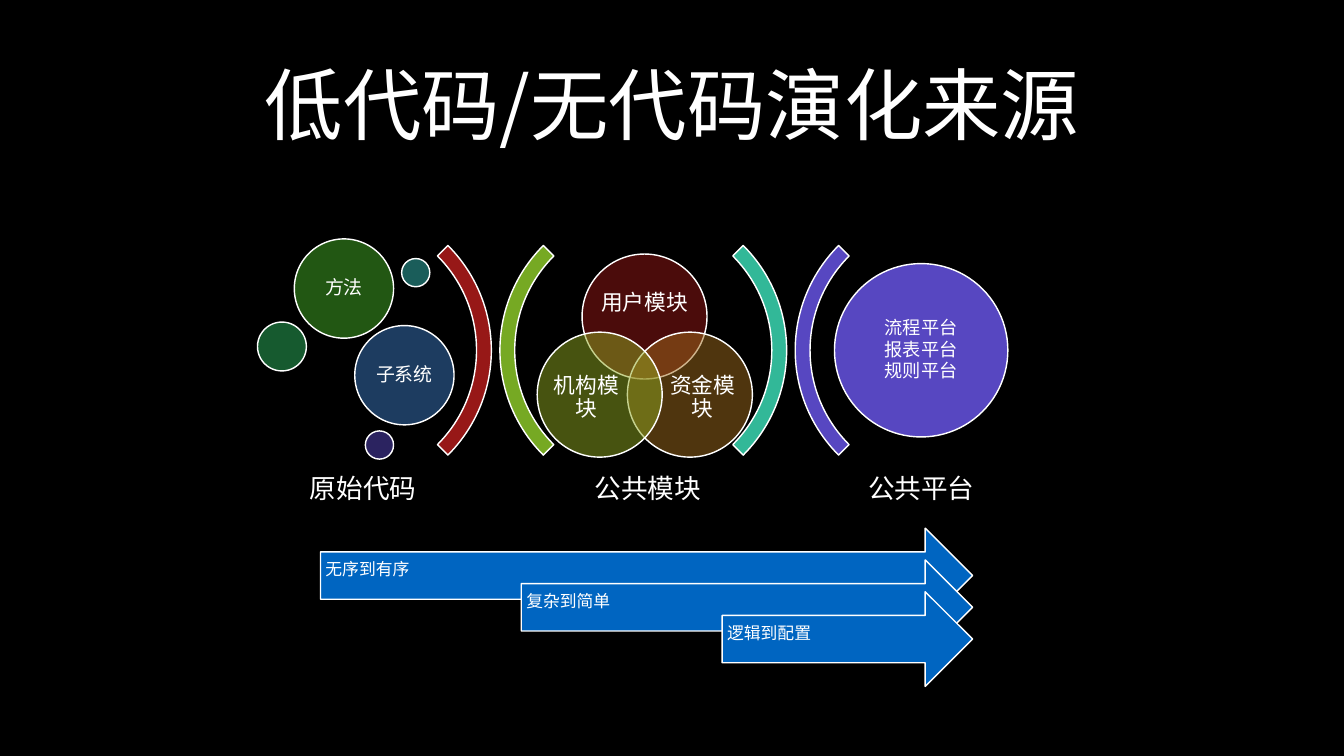
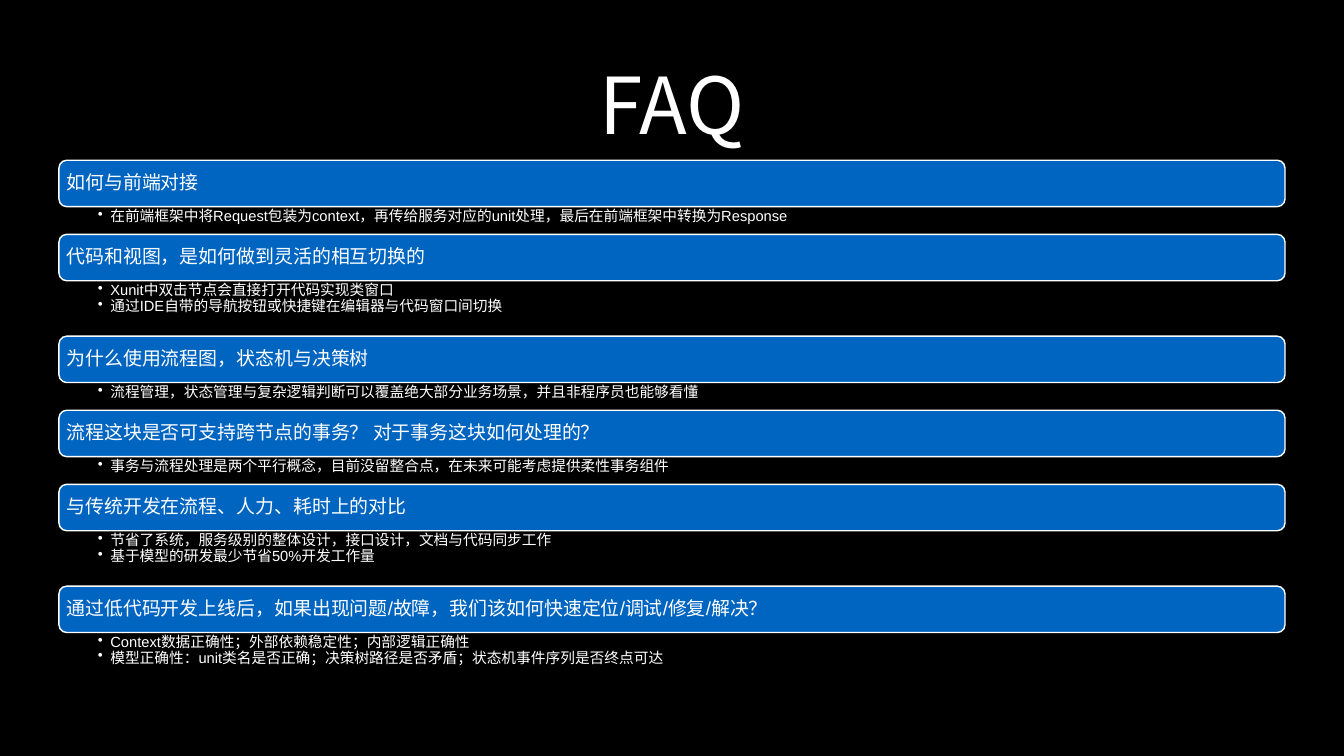
from lxml.etree import SubElement as Sub
from pptx import Presentation
from pptx.dml.color import RGBColor
from pptx.enum.shapes import MSO_SHAPE as Form
from pptx.enum.text import MSO_ANCHOR as Anchor, MSO_AUTO_SIZE as Fit, PP_ALIGN as Align
from pptx.oxml.ns import qn
from pptx.util import Inches, Pt

# Shared style
BLACK = RGBColor(0x00, 0x00, 0x00)
WHITE = RGBColor(0xFF, 0xFF, 0xFF)
BLUE = RGBColor(0x00, 0x65, 0xC1)
RED = RGBColor(0x97, 0x18, 0x17)
LIME = RGBColor(0x76, 0xA9, 0x23)
TEAL = RGBColor(0x32, 0xB8, 0x98)
VIOLET = RGBColor(0x57, 0x47, 0xC1)
AMBER = RGBColor(0x9F, 0x6A, 0x1C)
OLIVE = RGBColor(0x8E, 0xA6, 0x21)
GREEN = RGBColor(0x45, 0xAE, 0x27)
JADE = RGBColor(0x2D, 0xB4, 0x5E)
AQUA = RGBColor(0x34, 0xBA, 0xB4)
STEEL = RGBColor(0x3B, 0x78, 0xC0)
TITLE_FONT = "Noto Sans CJK SC"
BODY_FONT = "Arial"

FAQS = [
    ("如何与前端对接",
     ["在前端框架中将Request包装为context，再传给服务对应的unit处理，最后在前端框架中转换为Response"]),
    ("代码和视图，是如何做到灵活的相互切换的",
     ["Xunit中双击节点会直接打开代码实现类窗口",
      "通过IDE自带的导航按钮或快捷键在编辑器与代码窗口间切换"]),
    ("为什么使用流程图，状态机与决策树",
     ["流程管理，状态管理与复杂逻辑判断可以覆盖绝大部分业务场景，并且非程序员也能够看懂"]),
    ("流程这块是否可支持跨节点的事务？ 对于事务这块如何处理的？",
     ["事务与流程处理是两个平行概念，目前没留整合点，在未来可能考虑提供柔性事务组件"]),
    ("与传统开发在流程、人力、耗时上的对比",
     ["节省了系统，服务级别的整体设计，接口设计，文档与代码同步工作",
      "基于模型的研发最少节省50%开发工作量"]),
    ("通过低代码开发上线后，如果出现问题/故障，我们该如何快速定位/调试/修复/解决？",
     ["Context数据正确性；外部依赖稳定性；内部逻辑正确性",
      "模型正确性：unit类名是否正确；决策树路径是否矛盾；状态机事件序列是否终点可达"]),
]


def write(frame, lines, size, font=BODY_FONT, align=Align.CENTER, pad=(0, 0, 0, 0),
          anchor=Anchor.MIDDLE, space=0.9, after=0, bullet=False):
    """Fill a text frame with one paragraph per line."""
    frame.word_wrap = True
    frame.auto_size = Fit.NONE
    frame.vertical_anchor = anchor
    (frame.margin_left, frame.margin_top,
     frame.margin_right, frame.margin_bottom) = map(Inches, pad)
    for i, line in enumerate(lines):
        para = frame.add_paragraph() if i else frame.paragraphs[0]
        para.alignment = align
        para.line_spacing = space
        para.space_before = Pt(0)
        para.space_after = Pt(after)
        run = para.add_run()
        run.text = line
        run.font.name = font
        run.font.size = Pt(size)
        run.font.color.rgb = WHITE
        if bullet:
            para.level = 1
            props = para._p.get_or_add_pPr()
            props.set("marL", str(Inches(0.25)))
            props.set("indent", str(-Inches(0.25)))
            Sub(props, qn("a:buChar"), char="•")


def label(group, box, lines, size, **style):
    """Add a text box."""
    item = group.shapes.add_textbox(*map(Inches, box))
    write(item.text_frame, lines, size, **style)


def draw(group, form, box, fill, clear=False):
    """Add a white-edged shape, half transparent if clear."""
    shape = group.shapes.add_shape(form, *map(Inches, box))
    shape.shadow.inherit = False
    shape.fill.solid()
    shape.fill.fore_color.rgb = fill
    shape.line.color.rgb = WHITE
    shape.line.width = Pt(2)
    if clear:
        color = shape.element.spPr.find(qn("a:solidFill"))[0]
        Sub(color, qn("a:alpha"), val="50000")
    return shape


def start(deck, title):
    """Add a slide with its title."""
    slide = deck.slides.add_slide(deck.slide_layouts[5])
    head = slide.shapes.title
    head.left, head.top, head.width, head.height = map(Inches, (1.17, 0.39, 24.33, 3.32))
    write(head.text_frame, [title], 112, font=TITLE_FONT, pad=(0.08,) * 4, space=1.0)
    return slide


def arcs(group, x, y):
    """Brackets between the three stages."""
    for dx, turn, fill in [(0, 90, RED), (6.05, 270, LIME),
                           (5.86, 90, TEAL), (11.91, 270, VIOLET)]:
        arc = draw(group, Form.BLOCK_ARC, (x + dx, y, 5.88, 5.88), fill)
        arc.rotation = turn
        for i, value in enumerate((135, 189, 0.05)):
            arc.adjustments[i] = value


def disc(group, x, y, width, fill, lines=(), size=27, clear=True, after=0):
    """Circle with text in its inner square."""
    draw(group, Form.OVAL, (x, y, width, width), fill, clear)
    if lines:
        gap = 0.147 * width
        side = width - 2 * gap
        label(group, (x + gap, y + gap, side, side), lines, size,
              pad=(0.11,) * 4, after=after)


def venn(group, x, y):
    """Three overlapping modules; each text box is relative to its circle."""
    for dx, dy, fill, name, spot in [
            (0.89, 0, RED, "用户模块", (0.33, 0.43, 1.82, 1.11)),
            (1.79, 1.55, AMBER, "资金模块", (0.75, 0.63, 1.49, 1.36)),
            (0, 1.55, OLIVE, "机构模块", (0.23, 0.63, 1.49, 1.36))]:
        left, top = x + dx, y + dy
        draw(group, Form.OVAL, (left, top, 2.48, 2.48), fill, clear=True)
        tx, ty, width, height = spot
        label(group, (left + tx, top + ty, width, height), [name], 31)


def stages(slide, x, y):
    """Raw code, shared modules and shared platform."""
    group = slide.shapes.add_group_shape()
    arcs(group, x, y)
    venn(group, x + 6.79, y + 1.03)
    for dx, dy, width, fill, lines in [
            (1.97, 0.73, 1.97, GREEN, ["方法"]), (1.24, 2.38, 0.97, JADE, []),
            (4.1, 1.12, 0.56, AQUA, []), (3.17, 2.45, 1.97, STEEL, ["子系统"]),
            (3.38, 4.54, 0.56, VIOLET, [])]:
        disc(group, x + dx, y + dy, width, fill, lines)
    disc(group, x + 12.69, y + 1.22, 3.44, VIOLET,
         ["流程平台", "报表平台", "规则平台"], size=26, clear=False, after=3)
    for dx, name in [(1.1, "原始代码"), (6.75, "公共模块"), (12.18, "公共平台")]:
        label(group, (x + dx, y + 5.11, 4.47, 1.18), [name], 38, pad=(0.16,) * 4)


def arrows(slide, x, y, width):
    """Stepped arrows that share one right edge."""
    group = slide.shapes.add_group_shape()
    high = 1.88
    for i, name in enumerate(["无序到有序", "复杂到简单", "逻辑到配置"]):
        dx, top = 3.985 * i, y + 0.63 * i
        draw(group, Form.RIGHT_ARROW, (x + dx, top, width - dx, high), BLUE)
        label(group, (x + dx, top + high / 4, width - dx - high / 4, high / 2), [name], 24,
              align=Align.LEFT, pad=(0.1, 0.1, 0.28, 0.3))


def answers(slide, x, y, width):
    """Question bars, each followed by its bulleted answers."""
    group = slide.shapes.add_group_shape()
    bar, row, edge = 0.92, 0.55, 0.04
    for ask, lines in FAQS:
        draw(group, Form.ROUNDED_RECTANGLE, (x, y, width, bar), BLUE)
        label(group, (x + edge, y + edge, width - 2 * edge, bar - 2 * edge), [ask], 27,
              align=Align.LEFT, pad=(0.11,) * 4)
        y += bar
        high = row * len(lines)
        label(group, (x, y, width, high), lines, 21, align=Align.LEFT,
              anchor=Anchor.TOP, pad=(0.77, 0.04, 0.21, 0.04), bullet=True)
        y += high


def main():
    deck = Presentation()
    deck.slide_width, deck.slide_height = Inches(26.67), Inches(15)
    back = deck.slide_master.background.fill
    back.solid()
    back.fore_color.rgb = BLACK

    # Evolution
    slide = start(deck, "低代码/无代码演化来源")
    stages(slide, 3.87, 4.01)
    arrows(slide, 6.36, 10.48, 12.94)

    # Questions
    slide = start(deck, "FAQ")
    answers(slide, 1.17, 3.18, 24.33)
    deck.save("out.pptx")


if __name__ == "__main__":
    main()
